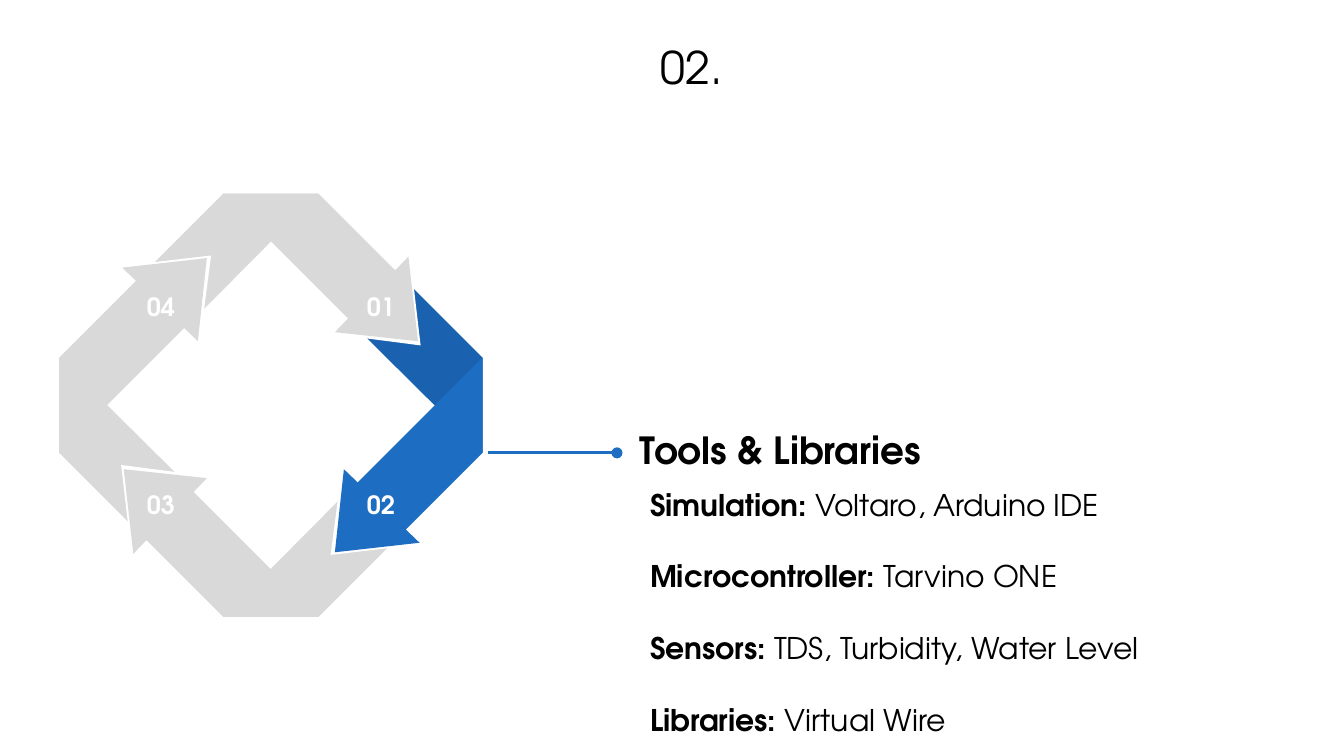
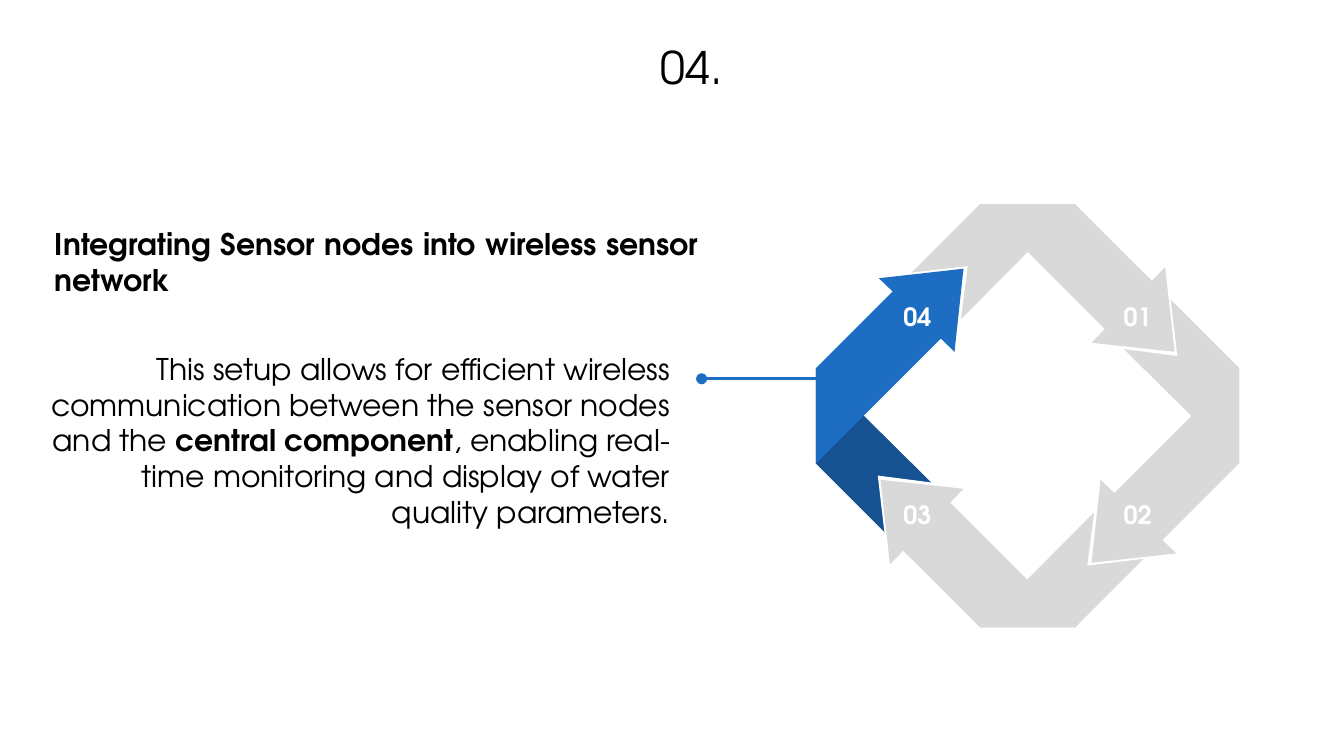
"""Builds two slides that each highlight one step of a four-arrow cycle."""
from lxml import etree
from pptx import Presentation
from pptx import util as u
from pptx.dml.color import RGBColor
from pptx.enum import shapes, text
from pptx.oxml.ns import qn

THEME = {
    "font": "TeX Gyre Adventor",
    "ink": "000000", "white": "FFFFFF", "muted": "D9D9D9", "accent": "1D6DC2",
    "title": 24, "heading": 20, "body": 16, "label": 13.5,
    "gap": 19.2, "rule": 1.5,
}
ALIGN = text.PP_ALIGN

TAIL = [(-0.9, -4), (-2.45, -2.45), (-1.54, -1.54), (0.9, -4)]
HALO = [(2.6, -3.09), (2.83, -1.13), (0.9, -1.38)]
ARROW = [(2.78, -1.21), (2.6, -2.81), (2.35, -2.55), (0.9, -4),
         (-0.9, -4), (1.46, -1.64), (1.21, -1.38)]
LABEL_CENTERS = [(2.08, -1.87), (2.08, 1.87), (-2.08, 1.87), (-2.08, -1.87)]
LABEL_WIDTH, LABEL_HEIGHT = 1.04, 0.84

SLIDES = [
    {
        "title": "02.", "active": 1, "fold": "1A62AF", "center": (5.12, 7.66),
        "pointer": (9.22, 11.66, 8.56),
        "texts": [
            {"box": (12.04, 9.07, 13.23, 5.72), "size": "body", "align": ALIGN.LEFT, "inset": 0.25,
             "paragraphs": [
                 [("Simulation:", True), (" Voltaro, Arduino IDE", False)],
                 [("Microcontroller:", True), (" Tarvino ONE", False)],
                 [("Sensors:", True), (" TDS, Turbidity, Water Level", False)],
                 [("Libraries:", True), (" Virtual Wire", False)]]},
            {"box": (11.84, 7.95, 11.2, 1.12), "size": "heading", "align": ALIGN.LEFT, "inset": 0.25,
             "paragraphs": [[("Tools & Libraries", True)]]},
        ],
    },
    {
        "title": "04.", "active": 3, "fold": "165292", "center": (19.42, 7.86),
        "pointer": (15.72, 13.26, 7.16),
        "texts": [
            {"box": (0.25, 6.5, 12.67, 4.85), "size": "body", "align": ALIGN.RIGHT, "inset": 0.5,
             "paragraphs": [
                 [("This setup allows for efficient wireless communication between "
                   "the sensor nodes and the ", False),
                  ("central component", True),
                  (", enabling real-time monitoring and display of water quality parameters.",
                   False)]]},
            {"box": (0.79, 4.14, 12.67, 1.6), "size": "body", "align": ALIGN.JUSTIFY, "inset": 0.25,
             "paragraphs": [[("Integrating Sensor nodes into wireless sensor network", True)]]},
        ],
    },
]


def write(frame, paragraphs, size, color, align, **frame_format):
    """Fill a text frame with paragraphs of (text, bold) runs."""
    for name, value in frame_format.items():
        setattr(frame, name, value)
    for index, runs in enumerate(paragraphs):
        paragraph = frame.add_paragraph() if index else frame.paragraphs[0]
        paragraph.alignment = align
        paragraph.space_before = u.Pt(THEME["gap"] if index else 0)
        for content, bold in runs:
            run = paragraph.add_run()
            run.text = content
            font_format = {"name": THEME["font"], "size": u.Pt(THEME[size]), "bold": bold}
            for name, value in font_format.items():
                setattr(run.font, name, value)
            run.font.color.rgb = RGBColor.from_string(THEME[color])


def add_polygon(group, outline, center, turns, color):
    """Draw an outline given around a center, after quarter turns clockwise."""
    for _ in range(turns):
        outline = [(-y, x) for x, y in outline]
    points = [(u.Cm(center[0] + x), u.Cm(center[1] + y)) for x, y in outline]
    builder = group.shapes.build_freeform(*points[0])
    builder.add_line_segments(points[1:], close=True)
    shape = builder.convert_to_shape()
    shape.shadow.inherit = False
    shape.fill.solid()
    shape.fill.fore_color.rgb = RGBColor.from_string(color)
    shape.line.fill.background()


presentation = Presentation()
presentation.slide_width = u.Cm(25.4)
presentation.slide_height = u.Cm(14.29)

for content in SLIDES:
    slide = presentation.slides.add_slide(presentation.slide_layouts[5])
    title = slide.shapes.title
    title_box = {"left": 4.6, "top": 0.74, "width": 16.2, "height": 1.47}
    for name, value in title_box.items():
        setattr(title, name, u.Cm(value))
    write(title.text_frame, [[(content["title"], False)]], "title", "ink", ALIGN.CENTER,
          margin_left=u.Cm(1.01), vertical_anchor=text.MSO_ANCHOR.TOP,
          auto_size=text.MSO_AUTO_SIZE.NONE)
    title.text_frame.paragraphs[0].line_spacing = 0.9

    center, active = content["center"], content["active"]
    cycle = slide.shapes.add_group_shape()
    layers = [(TAIL, THEME["muted"], content["fold"]),
              (HALO, THEME["white"], THEME["white"]),
              (ARROW, THEME["muted"], THEME["accent"])]
    for outline, color, active_color in layers:
        for step in range(4):
            add_polygon(cycle, outline, center, step, active_color if step == active else color)
    for step, (x, y) in enumerate(LABEL_CENTERS, start=1):
        label = cycle.shapes.add_textbox(
            u.Cm(center[0] + x - LABEL_WIDTH / 2), u.Cm(center[1] + y - LABEL_HEIGHT / 2),
            u.Cm(LABEL_WIDTH), u.Cm(LABEL_HEIGHT))
        write(label.text_frame, [[(f"{step:02}", True)]], "label", "white", ALIGN.CENTER,
              word_wrap=False, vertical_anchor=text.MSO_ANCHOR.MIDDLE)

    for block in content["texts"]:
        box = slide.shapes.add_textbox(*map(u.Cm, block["box"]))
        write(box.text_frame, block["paragraphs"], block["size"], "ink", block["align"],
              word_wrap=True, margin_left=u.Cm(block["inset"]))

    start, end, height = map(u.Cm, content["pointer"])
    pointer = slide.shapes.add_connector(shapes.MSO_CONNECTOR.STRAIGHT, start, height, end, height)
    pointer.line.color.rgb = RGBColor.from_string(THEME["accent"])
    pointer.line.width = u.Pt(THEME["rule"])
    etree.SubElement(pointer.line._get_or_add_ln(), qn("a:tailEnd"), type="oval")
    etree.SubElement(pointer._element.spPr, qn("a:effectLst"))

presentation.save("out.pptx")
